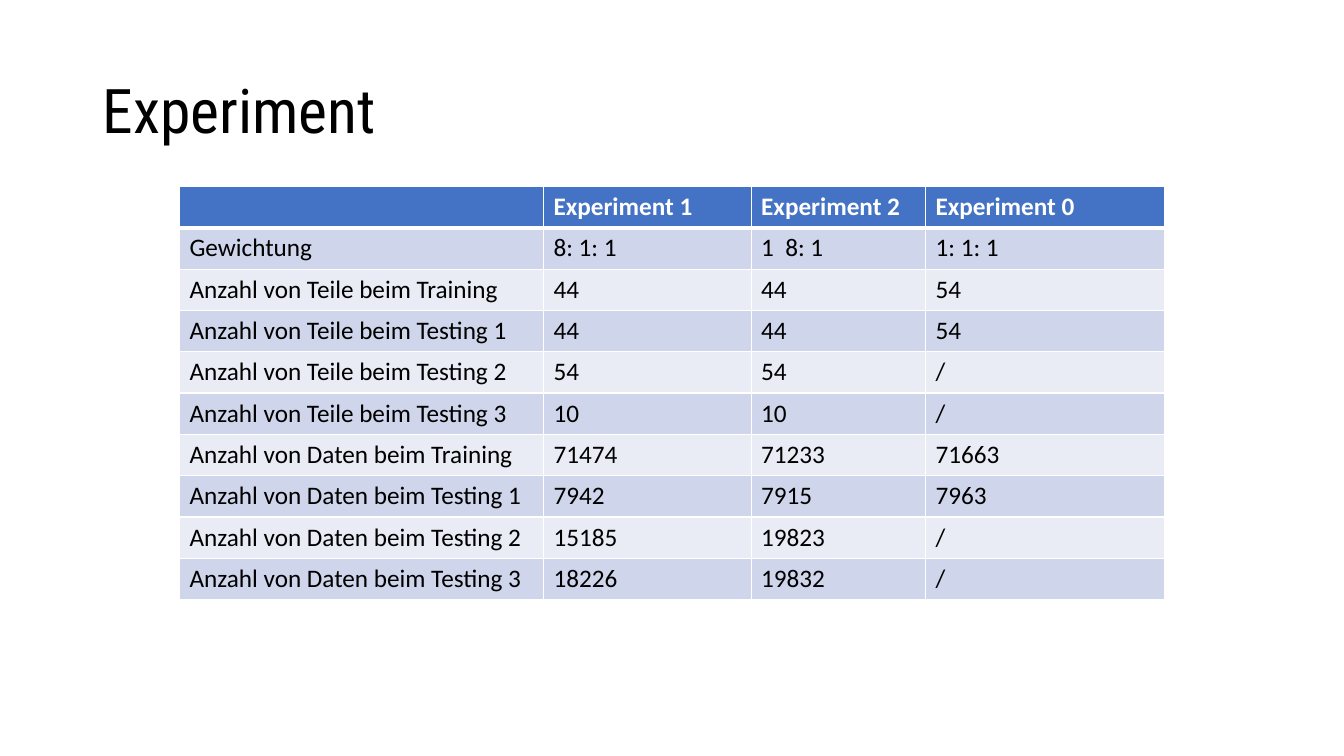
from dataclasses import dataclass

from lxml import etree
from pptx import Presentation
from pptx.dml.color import RGBColor
from pptx.enum.text import MSO_ANCHOR
from pptx.oxml.ns import qn
from pptx.util import Inches, Pt

MIDDLE = MSO_ANCHOR.MIDDLE
BLANK = 6


@dataclass(frozen=True)
class Theme:
    ink: str = "000000"
    paper: str = "FFFFFF"
    header: str = "4472C4"
    bands: tuple = ("CFD5EA", "E9EBF5")
    title_font: str = "Roboto Condensed"
    body_font: str = "Calibri"
    title_size: int = 44
    body_size: int = 18
    thin: int = 1
    thick: int = 3


class Deck:
    def __init__(self, prs, theme):
        self.theme = theme
        self.s = prs.slides.add_slide(prs.slide_layouts[BLANK])

    def add_text(self, p, text, color, **font):
        r = p.add_run()
        r.text = text
        for name, value in font.items():
            setattr(r.font, name, value)
        r.font.color.rgb = RGBColor.from_string(color)

    def title(self, text, left, top, width, height):
        t = self.theme
        sp = self.s.shapes.add_textbox(*map(Inches, (left, top, width, height)))
        tf = sp.text_frame
        tf.word_wrap = True
        tf.vertical_anchor = MIDDLE
        p = tf.paragraphs[0]
        p.line_spacing = 0.9
        self.add_text(p, text, t.ink, name=t.title_font, size=Pt(t.title_size))

    def borders(self, cell, widths):
        tc_pr = cell._tc.get_or_add_tcPr()
        for i, (side, width) in enumerate(widths.items()):
            ln = etree.Element(qn(f"a:ln{side}"), w=str(Pt(width)))
            fill = etree.SubElement(ln, qn("a:solidFill"))
            etree.SubElement(fill, qn("a:srgbClr"), val=self.theme.paper)
            tc_pr.insert(i, ln)

    def table(self, rows, left, top, col_widths, row_height):
        t = self.theme
        box = (left, top, sum(col_widths), row_height * len(rows))
        tbl = self.s.shapes.add_table(
            len(rows), len(col_widths), *map(Inches, box)).table
        for col, width in zip(tbl.columns, col_widths):
            col.width = Inches(width)
        for i, values in enumerate(rows):
            tbl.rows[i].height = Inches(row_height)
            head = i == 0
            fill = t.header if head else t.bands[(i - 1) % 2]
            widths = {"L": t.thin, "R": t.thin,
                      "T": t.thick if i == 1 else t.thin,
                      "B": t.thick if head else t.thin}
            for j, value in enumerate(values):
                cell = tbl.cell(i, j)
                cell.fill.solid()
                cell.fill.fore_color.rgb = RGBColor.from_string(fill)
                self.borders(cell, widths)
                if value:
                    self.add_text(cell.text_frame.paragraphs[0], value,
                                  t.paper if head else t.ink, name=t.body_font,
                                  size=Pt(t.body_size), bold=head)


ROWS = [
    ("", "Experiment 1", "Experiment 2", "Experiment 0"),
    ("Gewichtung", "8: 1: 1", "1  8: 1", "1: 1: 1"),
    ("Anzahl von Teile beim Training", "44", "44", "54"),
    ("Anzahl von Teile beim Testing 1", "44", "44", "54"),
    ("Anzahl von Teile beim Testing 2", "54", "54", "/"),
    ("Anzahl von Teile beim Testing 3", "10", "10", "/"),
    ("Anzahl von Daten beim Training", "71474", "71233", "71663"),
    ("Anzahl von Daten beim Testing 1", "7942", "7915", "7963"),
    ("Anzahl von Daten beim Testing 2", "15185", "19823", "/"),
    ("Anzahl von Daten beim Testing 3", "18226", "19832", "/"),
]

prs = Presentation()
prs.slide_width, prs.slide_height = Inches(13.33), Inches(7.5)
deck = Deck(prs, Theme())
deck.title("Experiment", 0.92, 0.4, 11.5, 1.45)
deck.table(ROWS, 1.78, 1.85, (3.61, 2.06, 1.73, 2.37), 0.41)
prs.save("out.pptx")
